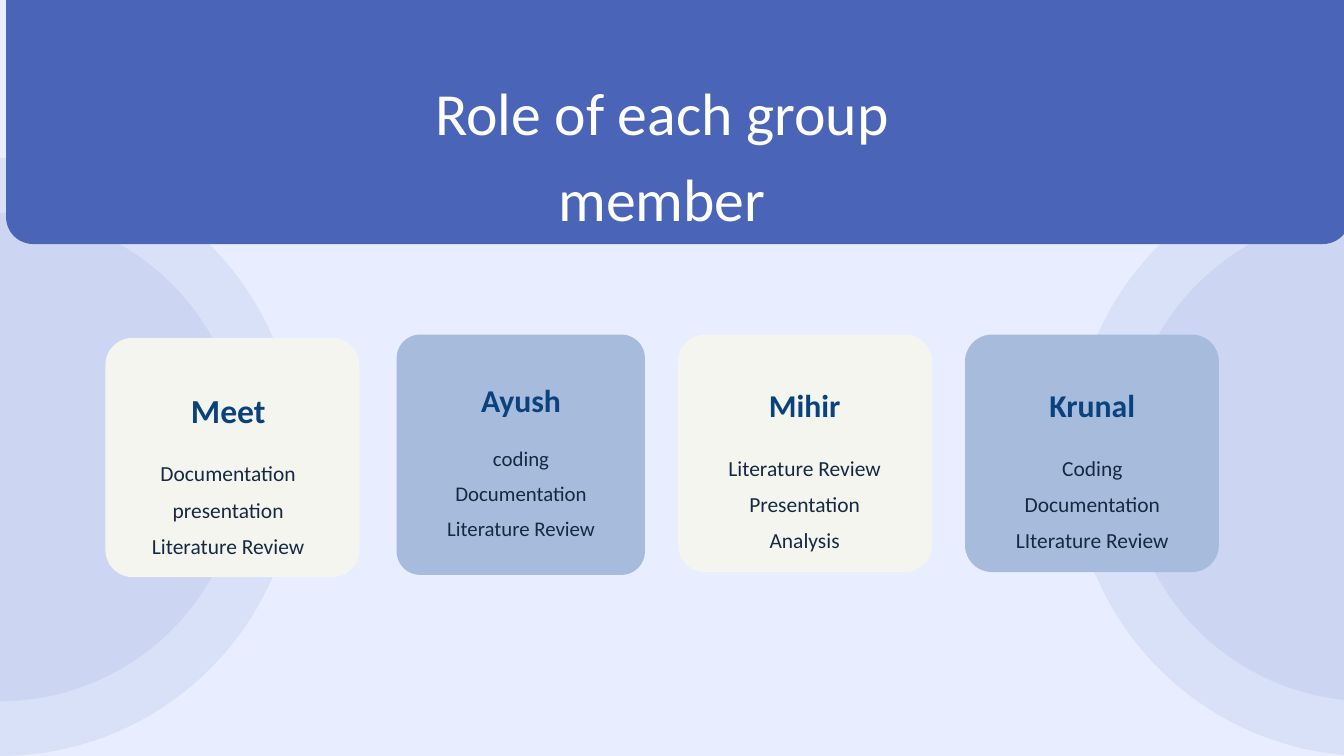
from dataclasses import dataclass

import lxml.etree
import pptx
import pptx.dml.color
import pptx.enum.shapes
import pptx.enum.text
import pptx.oxml.ns
import pptx.util

Pt = pptx.util.Pt
Shape = pptx.enum.shapes.MSO_SHAPE


@dataclass(frozen=True)
class Theme:
    font: str = "Calibri"
    background: str = "E8EEFF"
    banner: str = "4A64B8"
    heading: str = "FFFFFB"
    light_card: str = "F5F5EF"
    blue_card: str = "A7BCDC"
    name: str = "09427D"
    role: str = "162942"
    heading_size: float = 64
    ring_opacity: int = 9


THEME = Theme()


@dataclass(frozen=True)
class Box:
    left: float
    top: float
    width: float
    height: float

    def lengths(self) -> list:
        return [Pt(value) for value in (self.left, self.top, self.width, self.height)]


@dataclass(frozen=True)
class Member:
    name: str
    roles: tuple
    card: Box
    fill: str
    text_center: float
    name_top: float
    roles_top: float
    name_size: float = 34
    roles_size: float = 23
    text_width: float = 211
    radius: float = 29


MEMBERS = (
    Member("Mihir", ("Literature Review", "Presentation", "Analysis"),
           Box(726.5, 358.5, 272, 254.5), THEME.light_card, 862.2, 396.7, 476),
    Member("Meet", ("Documentation", "presentation", "Literature Review"),
           Box(113, 362, 272, 256.3), THEME.light_card, 244.5, 400.3, 482.4, name_size=36),
    Member("Krunal", ("Coding", "Documentation", "LIterature Review"),
           Box(1034, 358.5, 272, 254.5), THEME.blue_card, 1170.4, 396.7, 476),
    Member("Ayush", ("coding", "Documentation", "Literature Review"),
           Box(425, 358.5, 266, 257.5), THEME.blue_card, 558.3, 391.7, 466.6,
           roles_size=22.3, text_width=206.6, radius=25.2),
)


def color(value: str) -> pptx.dml.color.RGBColor:
    return pptx.dml.color.RGBColor.from_string(value)


def add_filled(shapes, kind, box: Box, fill: str, radius: float = 0, opacity: int = 100):
    """Add a borderless shape, optionally rounded or translucent."""
    shape = shapes.add_shape(kind, *box.lengths())
    shape.shadow.inherit = False
    shape.fill.solid()
    shape.fill.fore_color.rgb = color(fill)
    shape.line.fill.background()
    if radius:
        shape.adjustments[0] = radius / min(box.width, box.height)
    if opacity < 100:
        tone = shape.element.spPr.find(".//" + pptx.oxml.ns.qn("a:srgbClr"))
        alpha = lxml.etree.SubElement(tone, pptx.oxml.ns.qn("a:alpha"))
        alpha.set("val", str(opacity * 1000))
    return shape


def write_text(shape, lines: tuple, *, size: float, fill: str,
               bold: bool = False, spacing: float = 1.4) -> None:
    """Write centred paragraphs, one for each line."""
    frame = shape.text_frame
    frame.margin_left = frame.margin_top = frame.margin_right = frame.margin_bottom = 0
    frame.auto_size = pptx.enum.text.MSO_AUTO_SIZE.NONE
    frame.vertical_anchor = pptx.enum.text.MSO_ANCHOR.TOP
    frame.word_wrap = True
    for index, line in enumerate(lines):
        para = frame.add_paragraph() if index else frame.paragraphs[0]
        para.alignment = pptx.enum.text.PP_ALIGN.CENTER
        para.line_spacing = spacing
        span = para.add_run()
        span.text = line
        span.font.name = THEME.font
        span.font.size = Pt(size)
        span.font.bold = bold
        span.font.color.rgb = color(fill)


def add_rings(page, center_x: float, center_y: float = 489.6) -> None:
    for width, height in ((638, 640.8), (521.3, 523.4)):
        box = Box(center_x - width / 2, center_y - height / 2, width, height)
        add_filled(page.shapes, Shape.OVAL, box, THEME.banner, opacity=THEME.ring_opacity)


def add_member(page, member: Member) -> None:
    group = page.shapes.add_group_shape()
    add_filled(group.shapes, Shape.ROUNDED_RECTANGLE, member.card, member.fill, member.radius)
    left = member.text_center - member.text_width / 2
    name_box = Box(left, member.name_top, member.text_width, 46)
    roles_box = Box(left + 7.2, member.roles_top, member.text_width - 14.4, 106)
    write_text(group.shapes.add_textbox(*name_box.lengths()), (member.name,),
               size=member.name_size, fill=THEME.name, bold=True)
    write_text(group.shapes.add_textbox(*roles_box.lengths()), member.roles,
               size=member.roles_size, fill=THEME.role)


def main() -> None:
    deck = pptx.Presentation()
    deck.slide_width, deck.slide_height = Pt(1440), Pt(810)
    page = deck.slides.add_slide(deck.slide_layouts[5])
    page.background.fill.solid()
    page.background.fill.fore_color.rgb = color(THEME.background)

    # Translucent rings on both sides
    add_rings(page, 0)
    add_rings(page, 1467)

    # Banner, with the title brought in front of it
    add_filled(page.shapes, Shape.ROUNDED_RECTANGLE, Box(6.5, -129, 1440, 390.5),
               THEME.banner, radius=29)
    title = page.shapes.title
    title.left, title.top, title.width, title.height = Box(465.8, 66.2, 486.7, 152).lengths()
    write_text(title, ("Role of each group member",), size=THEME.heading_size,
               fill=THEME.heading, spacing=1.2)
    title.element.getparent().append(title.element)

    # Member cards
    for member in MEMBERS:
        add_member(page, member)

    deck.save("out.pptx")


if __name__ == "__main__":
    main()
